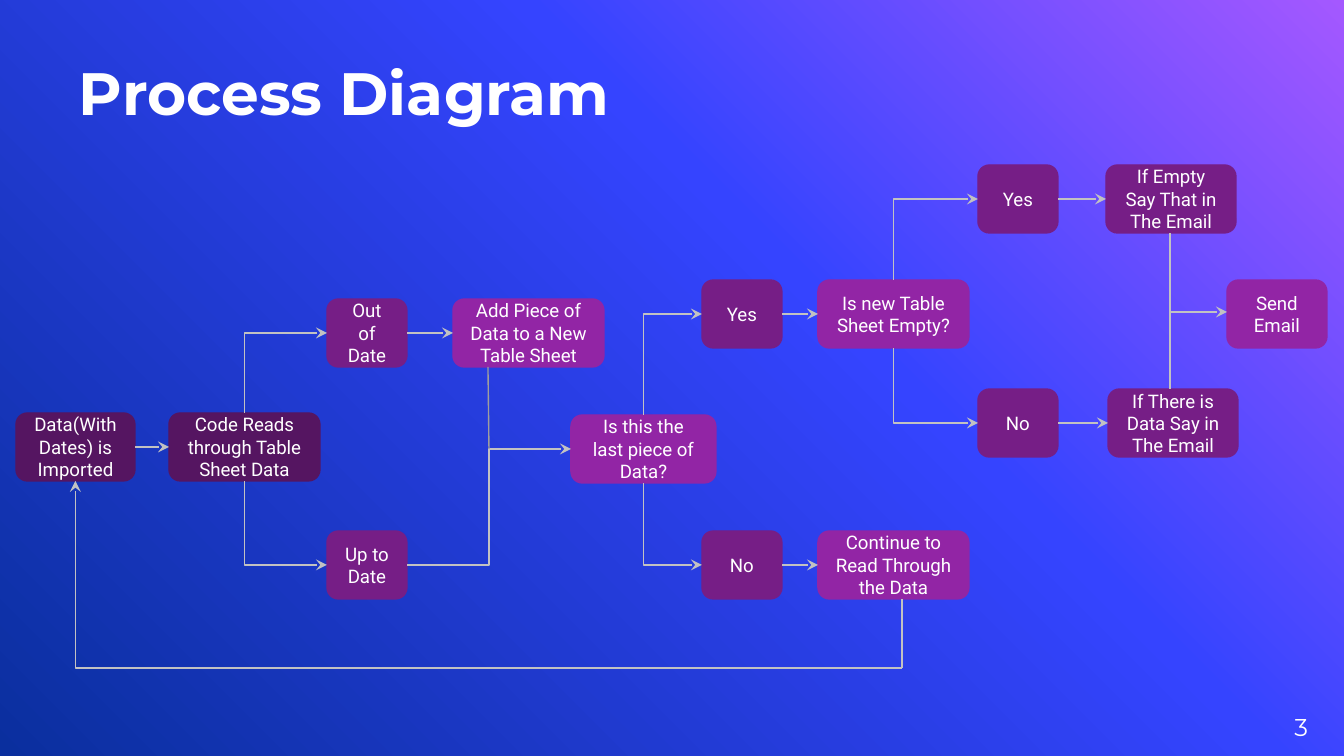
import copy
from dataclasses import dataclass

import lxml.etree
import pptx
import pptx.util
from pptx.dml.color import RGBColor
from pptx.enum.dml import MSO_LINE
from pptx.enum.shapes import MSO_CONNECTOR, MSO_SHAPE
from pptx.enum.text import MSO_ANCHOR, MSO_AUTO_SIZE, PP_ALIGN
from pptx.oxml.ns import qn

PX = 9144000 / 1344  # EMU in one px
BOX_HEIGHT = 68

WHITE = RGBColor(0xFF, 0xFF, 0xFF)
DARK = RGBColor(0x55, 0x15, 0x61)
MEDIUM = RGBColor(0x76, 0x1E, 0x86)
BRIGHT = RGBColor(0x92, 0x25, 0xA5)
ARROW = RGBColor(0xC2, 0xC2, 0xC2)
JOIN = RGBColor(0x9E, 0x9E, 0x9E)
BACKGROUND = [
    (0.0, RGBColor(0xA4, 0x58, 0xFF)),
    (0.39, RGBColor(0x35, 0x44, 0xFF)),
    (1.0, RGBColor(0x0A, 0x2F, 0x9E)),
]

# Connection sites of a rounded rectangle
TOP, LEFT, BOTTOM, RIGHT = range(4)


@dataclass
class Box:
    key: str
    text: str
    x: int
    y: int
    width: int
    color: RGBColor


@dataclass
class Link:
    source: str
    site: int
    target: str


BOXES = [
    Box("import", "Data(With Dates) is Imported", 16, 413, 119, DARK),
    Box("read", "Code Reads through Table Sheet Data", 169, 413, 151, DARK),
    Box("outdated", "Out of Date", 327, 299, 80, MEDIUM),
    Box("current", "Up to Date", 327, 531, 80, MEDIUM),
    Box("add", "Add Piece of Data to a New Table Sheet", 453, 299, 151, BRIGHT),
    Box("last", "Is this the last piece of Data?", 571, 415, 145, BRIGHT),
    Box("last yes", "Yes", 702, 280, 80, MEDIUM),
    Box("last no", "No", 702, 531, 80, MEDIUM),
    Box("empty", "Is new Table Sheet Empty?", 818, 280, 151, BRIGHT),
    Box("continue", "Continue to Read Through the Data", 818, 531, 151, BRIGHT),
    Box("empty yes", "Yes", 978, 165, 80, MEDIUM),
    Box("empty no", "No", 978, 389, 80, MEDIUM),
    Box("say empty", "If Empty Say That in The Email", 1106, 165, 130, MEDIUM),
    Box("say data", "If There is Data Say in The Email", 1108, 389, 130, MEDIUM),
    Box("send", "Send Email", 1227, 280, 100, BRIGHT),
]

LINKS = [
    Link("import", RIGHT, "read"),
    Link("read", TOP, "outdated"),
    Link("read", BOTTOM, "current"),
    Link("outdated", RIGHT, "add"),
    Link("current", RIGHT, "last"),
    Link("last", TOP, "last yes"),
    Link("last", BOTTOM, "last no"),
    Link("last yes", RIGHT, "empty"),
    Link("last no", RIGHT, "continue"),
    Link("empty", TOP, "empty yes"),
    Link("empty", BOTTOM, "empty no"),
    Link("empty yes", RIGHT, "say empty"),
    Link("empty no", RIGHT, "say data"),
]


def px(n: float) -> int:
    return round(n * PX)


def set_text(sp, text: str, size: int, font: str, align: PP_ALIGN,
             anchor: MSO_ANCHOR, inset: int) -> None:
    tf = sp.text_frame
    tf.text = text
    tf.word_wrap = True
    tf.auto_size = MSO_AUTO_SIZE.NONE
    tf.vertical_anchor = anchor
    tf.margin_left = tf.margin_right = tf.margin_top = tf.margin_bottom = px(inset)
    p = tf.paragraphs[0]
    p.alignment = align
    p.font.size = pptx.util.Pt(size)
    p.font.name = font
    p.font.color.rgb = WHITE


def add_box(slide, box: Box):
    sp = slide.shapes.add_shape(MSO_SHAPE.ROUNDED_RECTANGLE, px(box.x), px(box.y),
                                px(box.width), px(BOX_HEIGHT))
    sp.shadow.inherit = False
    sp.fill.solid()
    sp.fill.fore_color.rgb = box.color
    sp.line.color.rgb = box.color
    sp.line.width = pptx.util.Pt(0.75)
    set_text(sp, box.text, 10, "Roboto", PP_ALIGN.CENTER, MSO_ANCHOR.MIDDLE, 13)
    return sp


def add_line(slide, x1: int, y1: int, x2: int, y2: int, end: str = "",
             kind: MSO_CONNECTOR = MSO_CONNECTOR.STRAIGHT, color: RGBColor = ARROW):
    """Draw a connector; end is headEnd, tailEnd or empty for no arrowhead."""
    cxn = slide.shapes.add_connector(kind, px(x1), px(y1), px(x2), px(y2))
    cxn.line.color.rgb = color
    cxn.line.width = pptx.util.Pt(0.75)
    cxn.line.dash_style = MSO_LINE.SOLID
    spPr = cxn._element.spPr
    if end:
        lxml.etree.SubElement(spPr.find(qn("a:ln")), qn("a:" + end), type="stealth")
    lxml.etree.SubElement(spPr, qn("a:effectLst"))
    return cxn


def make_corner(cxn) -> None:
    """Turn an elbow into one corner: across first, then up or down."""
    cxn._element.spPr.find(qn("a:prstGeom")).set("prst", "bentConnector2")


def add_link(slide, link: Link, shapes: dict) -> None:
    """Link from the target's left side back to the source, arrow at the target."""
    source, target = shapes[link.source], shapes[link.target]
    level = abs(source.top - target.top) < px(3)
    kind = MSO_CONNECTOR.STRAIGHT if level else MSO_CONNECTOR.ELBOW
    cxn = add_line(slide, 0, 0, 0, 0, "headEnd", kind)
    cxn.begin_connect(target, LEFT)
    cxn.end_connect(source, link.site)
    if link.site != RIGHT:
        make_corner(cxn)


def set_background(slide) -> None:
    fill = slide.background.fill
    fill.gradient()
    fill.gradient_angle = 225
    stop_list = slide.element.xpath(".//a:gsLst")[0]
    stop_list.append(copy.deepcopy(stop_list[0]))
    for stop, (position, color) in zip(fill.gradient_stops, BACKGROUND):
        stop.position = position
        stop.color.rgb = color


def main() -> None:
    prs = pptx.Presentation()
    prs.slide_width, prs.slide_height = px(1344), px(756)
    slide = prs.slides.add_slide(prs.slide_layouts[5])
    set_background(slide)

    # Title and page number
    title = slide.shapes.title
    title.left, title.top, title.width, title.height = px(79), px(54), px(591), px(73)
    set_text(title, "Process Diagram", 32, "Montserrat", PP_ALIGN.LEFT,
             MSO_ANCHOR.BOTTOM, 0)
    title.text_frame.paragraphs[0].font.bold = True
    number = slide.shapes.add_textbox(px(1227), px(698), px(81), px(58))
    set_text(number, "3", 13, "Montserrat", PP_ALIGN.RIGHT, MSO_ANCHOR.MIDDLE, 0)

    # Steps and the arrows between them
    shapes = {box.key: add_box(slide, box) for box in BOXES}
    for link in LINKS:
        add_link(slide, link, shapes)

    # Added data joins the path to the last-piece question
    add_line(slide, 488, 367, 489, 449, color=JOIN)

    # Both email texts join on the way to sending
    add_line(slide, 1170, 233, 1170, 389)
    add_line(slide, 1170, 312, 1227, 312, "tailEnd")

    # Loop back to the import
    add_line(slide, 902, 599, 902, 668)
    loop = add_line(slide, 902, 668, 76, 481, "tailEnd", MSO_CONNECTOR.ELBOW)
    make_corner(loop)
    loop.end_connect(shapes["import"], BOTTOM)

    prs.save("out.pptx")


if __name__ == "__main__":
    main()
